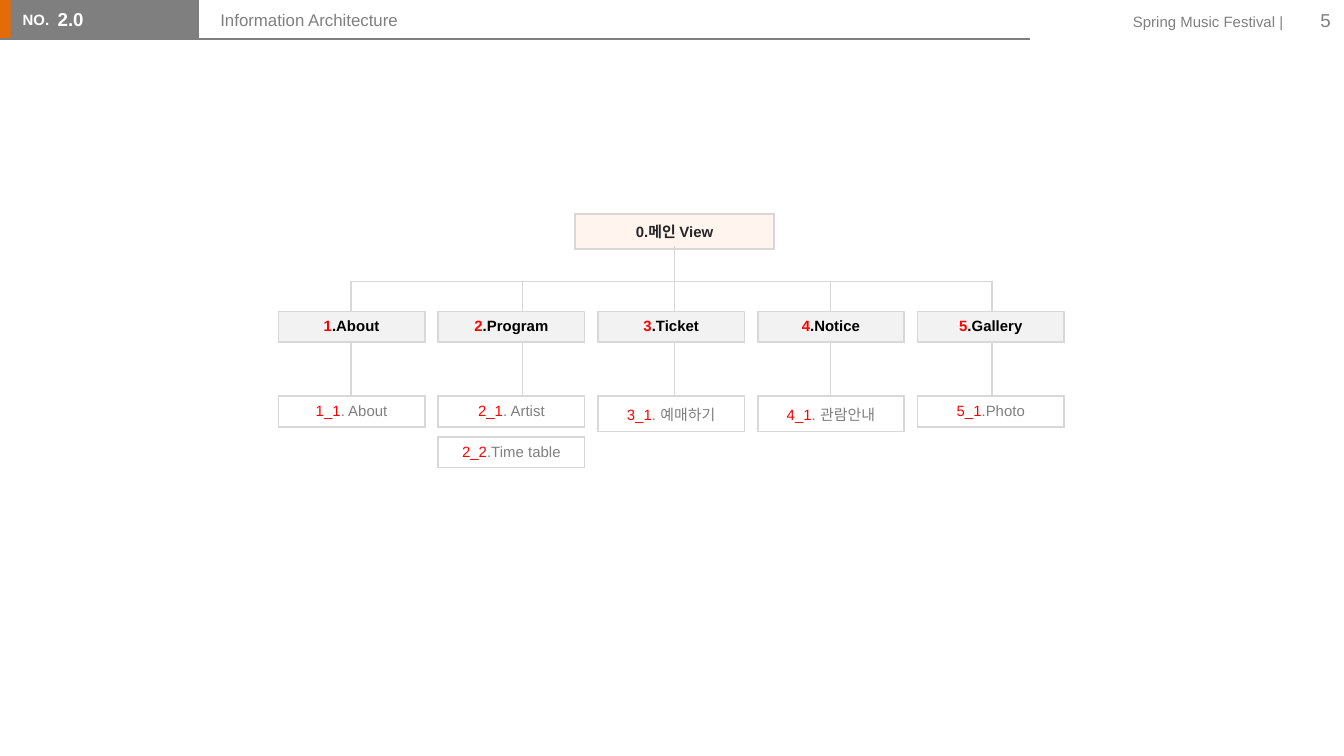
from lxml.etree import SubElement
from pptx import Presentation
from pptx.dml.color import RGBColor
from pptx.enum.shapes import MSO_CONNECTOR as CONN, MSO_SHAPE as SHAPE
from pptx.enum.text import MSO_ANCHOR as ANCHOR, MSO_AUTO_SIZE as AUTO, PP_ALIGN as ALIGN
from pptx.oxml import parse_xml
from pptx.oxml.ns import nsdecls, qn
from pptx.util import Cm, Pt

GREY, RULE, RED, WHITE = "7F7F7F", "D8D8D8", "FF0000", "FFFFFF"
BOX_W, BOX_H = 2.77, 0.58
LEFT, PITCH = 5.26, 3.02
BUS_Y, MENU_Y, PAGE_Y, PAGE_STEP = 5.32, 5.89, 7.49, 0.77
MENUS = [
    (6.63, ("1", ".About"), [("1_1", ". About")]),
    (9.88, ("2", ".Program"), [("2_1", ". Artist"), ("2_2", ".Time table")]),
    (12.75, ("3", ".Ticket"), [("3_1", ". 예매하기")]),
    (15.7, ("4", ".Notice"), [("4_1", ". 관람안내")]),
    (18.75, ("5", ".Gallery"), [("5_1", ".Photo")]),
]


def rgb(value):
    return RGBColor.from_string(value)


def set_font(font, size, color, bold=False):
    font.name = "Arial"
    font.size = Pt(size)
    font.bold = bold
    font.color.rgb = rgb(color)


def write(tf, text, size, color, bold=False, align=ALIGN.LEFT, anchor=ANCHOR.TOP):
    tf.word_wrap = True
    tf.auto_size = AUTO.NONE
    tf.vertical_anchor = anchor
    p = tf.paragraphs[0]
    p.text = text
    p.alignment = align
    p.space_before = Pt(0)
    set_font(p.font, size, color, bold)


def place(s, x, y, w, h):
    s.left, s.top, s.width, s.height = Cm(x), Cm(y), Cm(w), Cm(h)


def add_text(s, x, y, w, h, *args, **kwargs):
    tb = s.shapes.add_textbox(Cm(x), Cm(y), Cm(w), Cm(h))
    write(tb.text_frame, *args, **kwargs)


def add_bar(s, x, w, color):
    sp = s.shapes.add_shape(SHAPE.RECTANGLE, Cm(x), 0, Cm(w), Cm(0.74))
    sp.shadow.inherit = False
    sp.fill.solid()
    sp.fill.fore_color.rgb = rgb(color)
    sp.line.fill.background()


def add_line(s, x1, y1, x2, y2, color=RULE):
    c = s.shapes.add_connector(CONN.STRAIGHT, Cm(x1), Cm(y1), Cm(x2), Cm(y2))
    c.line.color.rgb = rgb(color)
    c.line.width = Pt(0.75)
    SubElement(c._element.spPr, qn("a:effectLst"))


def set_borders(cell):
    tcPr = cell._tc.get_or_add_tcPr()
    for i, side in enumerate("LRTB"):
        tcPr.insert(i, parse_xml(
            f'<a:ln{side} {nsdecls("a")} w="{Pt(1)}"><a:solidFill>'
            f'<a:srgbClr val="{RULE}"/></a:solidFill></a:ln{side}>'))


def add_box(s, x, y, w, fill, runs, bold=False):
    table = s.shapes.add_table(1, 1, Cm(x), Cm(y), Cm(w), Cm(BOX_H)).table
    table.first_row = table.horz_banding = False
    cell = table.cell(0, 0)
    cell.fill.solid()
    cell.fill.fore_color.rgb = rgb(fill)
    set_borders(cell)
    p = cell.text_frame.paragraphs[0]
    p.alignment = ALIGN.CENTER
    for text, color in runs:
        r = p.add_run()
        r.text = text
        set_font(r.font, 8, color, bold)


def add_header(s):
    add_bar(s, -0.03, 0.3, "E36C09")
    add_bar(s, 0.2, 3.56, GREY)
    add_text(s, 0.18, 0.08, 1.04, 0.61, "NO.", 8, WHITE, bold=True)
    add_line(s, 0, 0.74, 19.46, 0.74, GREY)
    add_text(s, 20.73, 0.11, 3.78, 0.61, "Spring Music Festival |", 8, GREY, align=ALIGN.RIGHT)
    add_text(s, 23.88, 0, 1.52, 0.76, "5", 10, GREY, align=ALIGN.RIGHT, anchor=ANCHOR.MIDDLE)

    title, body = s.placeholders
    place(title, 3.91, 0.05, 13.77, 0.81)
    write(title.text_frame, "Information Architecture", 9, GREY)
    place(body, 1.09, 0.03, 2.79, 0.79)
    tf = body.text_frame
    tf.margin_left = tf.margin_right = 0
    write(tf, "2.0", 10, WHITE, bold=True)
    pPr = tf.paragraphs[0]._p.get_or_add_pPr()
    pPr.set("marL", "0")
    pPr.set("indent", "0")
    pPr.insert_element_before(parse_xml(f'<a:buNone {nsdecls("a")}/>'), "a:defRPr")
    for sp in (title, body):
        s.shapes._spTree.append(sp._element)


def add_sitemap(s):
    add_box(s, 10.87, 4.04, 3.76, "FFF4EE", [("0.메인 View", "262626")], bold=True)
    add_line(s, 12.75, 4.65, 12.75, BUS_Y)
    add_line(s, MENUS[0][0], BUS_Y, MENUS[-1][0], BUS_Y)
    for i, (stem, (number, name), pages) in enumerate(MENUS):
        x = LEFT + i * PITCH
        add_line(s, stem, BUS_Y, stem, MENU_Y)
        add_line(s, stem, MENU_Y + BOX_H, stem, PAGE_Y)
        add_box(s, x, MENU_Y, BOX_W, "F2F2F2", [(number, RED), (name, "000000")], bold=True)
        for j, (code, page) in enumerate(pages):
            add_box(s, x, PAGE_Y + j * PAGE_STEP, BOX_W, WHITE, [(code, RED), (page, GREY)])


def main():
    prs = Presentation()
    prs.slide_width, prs.slide_height = Cm(25.4), Cm(14.29)
    s = prs.slides.add_slide(prs.slide_layouts[1])
    add_header(s)
    add_sitemap(s)
    prs.save("out.pptx")


if __name__ == "__main__":
    main()
